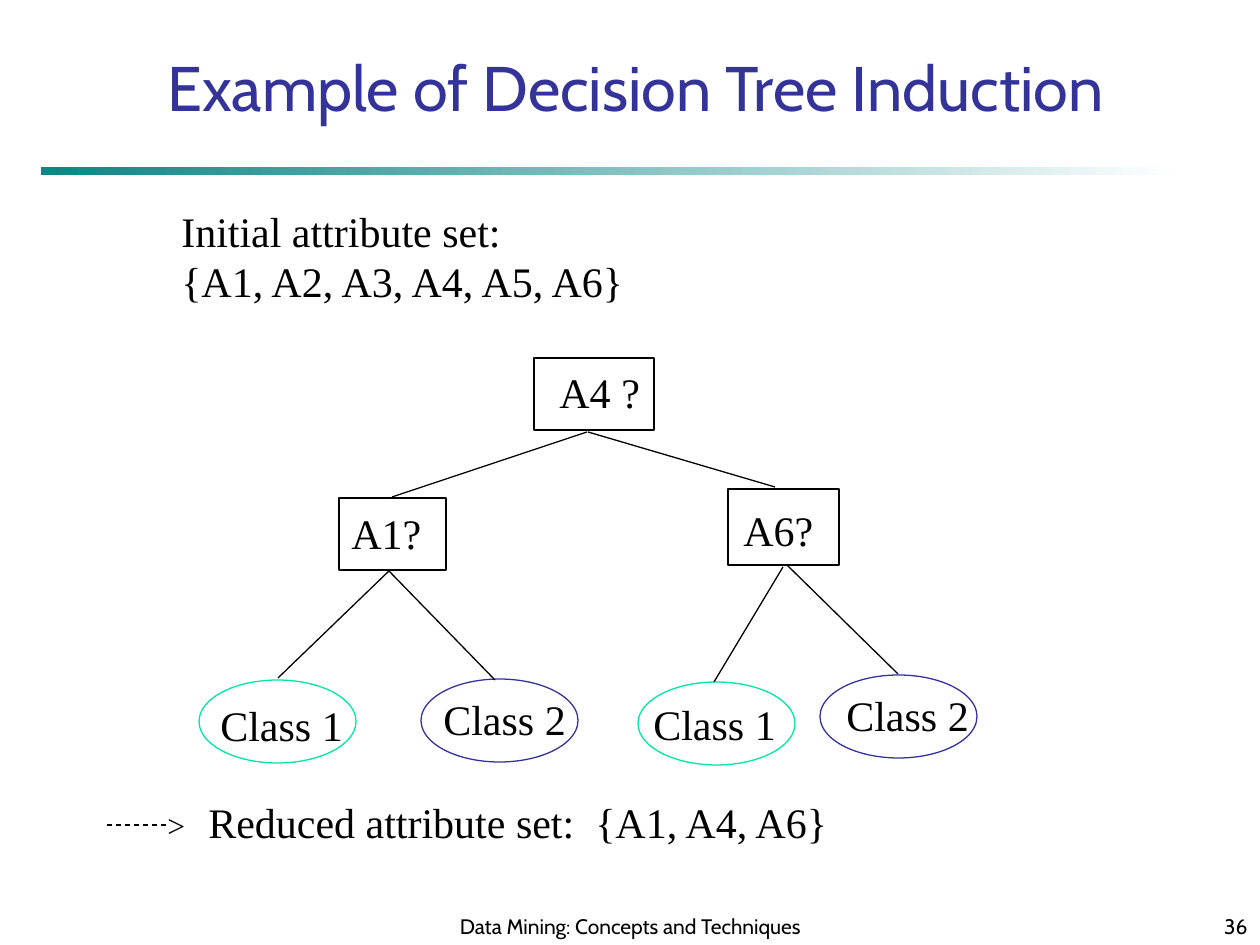
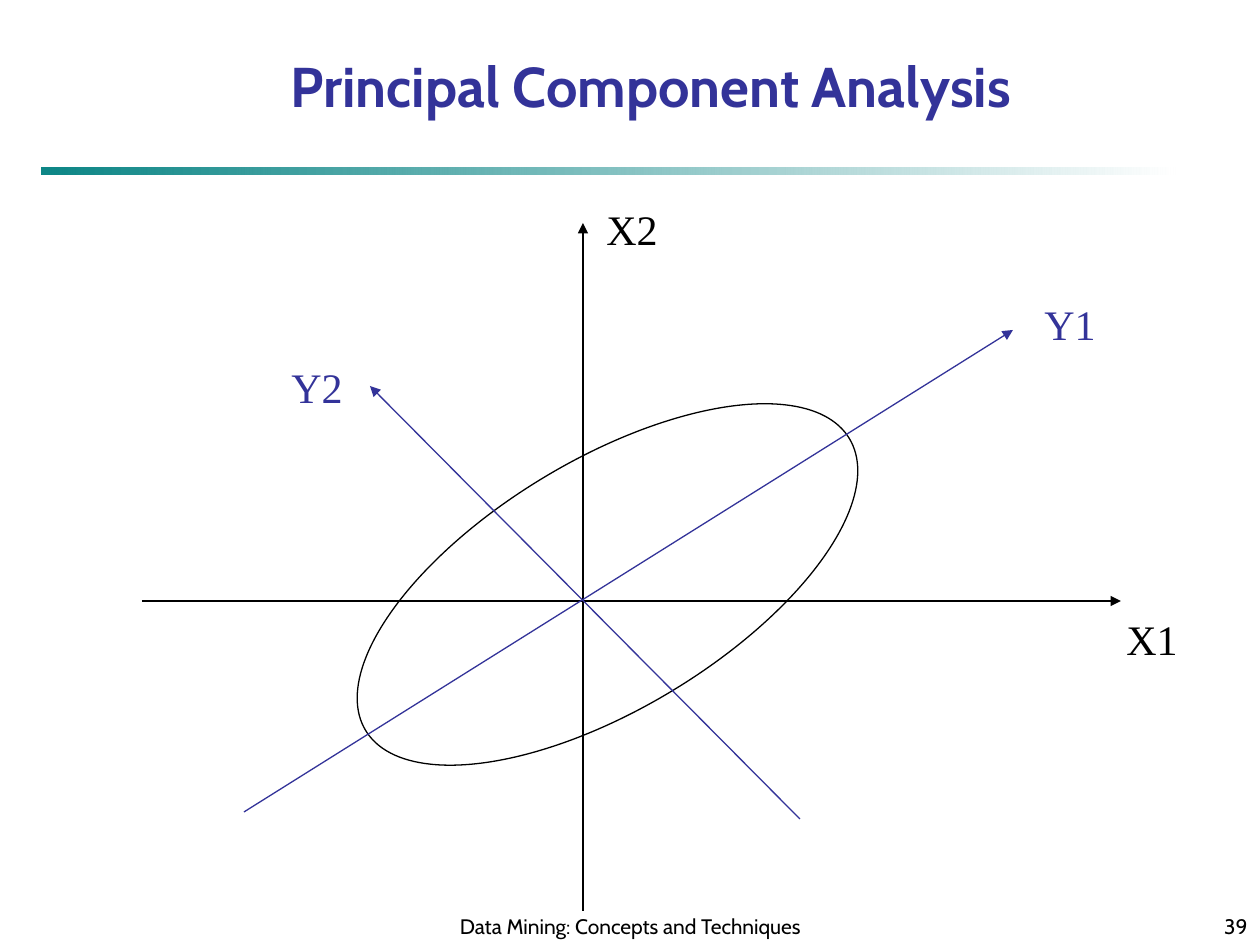
"""Build two data mining slides: a decision tree and a principal component diagram."""
from lxml.etree import SubElement
from pptx import Presentation
from pptx.dml.color import RGBColor
from pptx.enum.dml import MSO_LINE_DASH_STYLE as DASH
from pptx.enum.shapes import MSO_CONNECTOR as CONNECTOR, MSO_SHAPE as SHAPE
from pptx.enum.text import MSO_ANCHOR as ANCHOR, PP_ALIGN as ALIGN
from pptx.oxml.ns import qn
from pptx.util import Pt

EMU_PER_PIXEL = 914400 / 126
WIDTH, HEIGHT = 1260, 945
BLACK = RGBColor(0x00, 0x00, 0x00)
WHITE = RGBColor(0xFF, 0xFF, 0xFF)
INDIGO = RGBColor(0x33, 0x33, 0x99)
TEAL = RGBColor(0x00, 0x80, 0x80)
MINT = RGBColor(0x00, 0xE4, 0xA8)
SANS, SERIF = "Cabin", "Times New Roman"
LINE_WIDTH = Pt(0.74)
FOOTER = "Data Mining: Concepts and Techniques"


def px(*lengths):
    return [round(length * EMU_PER_PIXEL) for length in lengths]


def add_text(slide, box, lines, size=24, font=SERIF, color=BLACK, bold=False,
             align=ALIGN.LEFT, anchor=ANCHOR.TOP):
    frame = slide.shapes.add_textbox(*px(*box)).text_frame
    frame.word_wrap = True
    frame.vertical_anchor = anchor
    for index, line in enumerate(lines):
        paragraph = frame.add_paragraph() if index else frame.paragraphs[0]
        paragraph.alignment = align
        run = paragraph.add_run()
        run.text = line
        run.font.size = Pt(size)
        run.font.name = font
        run.font.bold = bold
        run.font.color.rgb = color


def add_outline(slide, kind, box, color=BLACK, rotation=0):
    shape = slide.shapes.add_shape(kind, *px(*box))
    shape.shadow.inherit = False
    shape.fill.background()
    shape.line.color.rgb = color
    shape.line.width = LINE_WIDTH
    shape.rotation = rotation


def add_line(slide, ends, color=BLACK, arrow=False, dash=None):
    connector = slide.shapes.add_connector(CONNECTOR.STRAIGHT, *px(*ends))
    connector.line.color.rgb = color
    connector.line.width = LINE_WIDTH
    if dash:
        connector.line.dash_style = dash
    if arrow:
        SubElement(connector.line._get_or_add_ln(), qn("a:tailEnd"), type="triangle")
    SubElement(connector._element.spPr, qn("a:effectLst"))


def add_band(slide):
    band = slide.shapes.add_shape(SHAPE.RECTANGLE, *px(42, 168, 1134, 7))
    band.shadow.inherit = False
    band.line.fill.background()
    band.fill.gradient()
    band.fill.gradient_angle = 0
    for stop, color, position in zip(band.fill.gradient_stops, (TEAL, WHITE), (0, 1)):
        stop.color.rgb = color
        stop.position = position
    start_color = band._element.xpath(".//a:gs/a:srgbClr")[0]
    SubElement(start_color, qn("a:alpha"), val="95000")


def add_slide(presentation, number, title, title_box, size, bold=False):
    slide = presentation.slides.add_slide(presentation.slide_layouts[6])
    add_band(slide)
    footers = ((FOOTER, 431, 399, ALIGN.CENTER), (str(number), 998, 262, ALIGN.RIGHT))
    for text, left, width, align in footers:
        add_text(slide, (left, 892, width, 53), [text], 12, SANS,
                 align=align, anchor=ANCHOR.BOTTOM)
    add_text(slide, title_box, [title], size, SANS, INDIGO, bold, ALIGN.CENTER)
    return slide


def build_decision_tree(presentation):
    slide = add_slide(presentation, 36, "Example of Decision Tree Induction",
                      (105, 42, 1061, 164), 36)
    add_text(slide, (169, 199, 479, 113),
             ["Initial attribute set:", "{A1, A2, A3, A4, A5, A6}"])
    tests = (("A4 ?", (534, 358, 120, 72), (547, 360, 122, 63)),
             ("A1?", (339, 498, 107, 72), (339, 501, 100, 63)),
             ("A6?", (728, 489, 111, 76), (731, 498, 100, 63)))
    for label, box, label_box in tests:
        add_outline(slide, SHAPE.RECTANGLE, box)
        add_text(slide, label_box, [label])
    leaves = (("Class 1", MINT, 199, 680, 208, 693),
              ("Class 2", INDIGO, 421, 679, 431, 687),
              ("Class 1", MINT, 638, 682, 641, 692),
              ("Class 2", INDIGO, 820, 675, 834, 683))
    for label, color, left, top, label_left, label_top in leaves:
        add_outline(slide, SHAPE.OVAL, (left, top, 157, 83), color)
        add_text(slide, (label_left, label_top, 154, 63), [label])
    branches = ((587, 432, 392, 497), (588, 432, 775, 487),
                (389, 571, 278, 678), (389, 571, 495, 680),
                (783, 567, 714, 682), (787, 565, 898, 674))
    for ends in branches:
        add_line(slide, ends)
    add_line(slide, (107, 825, 168, 825), dash=DASH.DASH)
    add_text(slide, (155, 800, 46, 50), [">"], 18)
    add_text(slide, (196, 790, 656, 63), ["Reduced attribute set:  {A1, A4, A6}"])


def build_component_axes(presentation):
    slide = add_slide(presentation, 39, "Principal Component Analysis",
                      (189, 45, 924, 81), 32, bold=True)
    add_outline(slide, SHAPE.OVAL, (325, 460, 565, 249), rotation=328.9)
    axes = (("X1", BLACK, (142, 601, 1121, 601), (1114, 607)),
            ("X2", BLACK, (583, 911, 583, 223), (594, 197)),
            ("Y1", INDIGO, (244, 812, 1013, 330), (1032, 292)),
            ("Y2", INDIGO, (800, 819, 370, 386), (279, 355)))
    for label, color, ends, corner in axes:
        add_line(slide, ends, color, arrow=True)
        add_text(slide, (*corner, 80, 63), [label], color=color)


def main():
    presentation = Presentation()
    presentation.slide_width, presentation.slide_height = px(WIDTH, HEIGHT)
    build_decision_tree(presentation)
    build_component_axes(presentation)
    presentation.save("out.pptx")


main()
